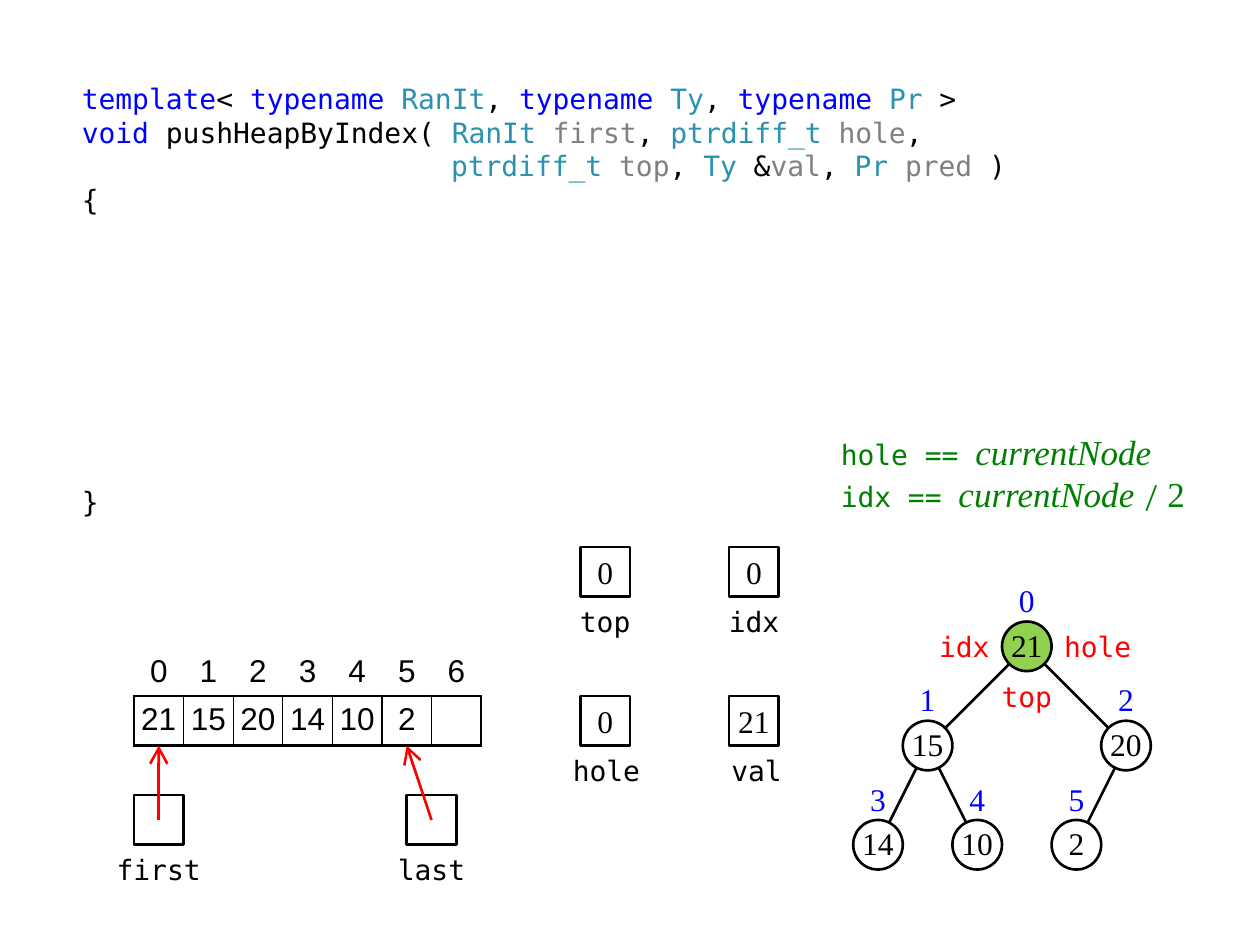
import pptx
import pptx.util
import pptx.dml.color
import pptx.enum.shapes
import pptx.enum.text
import pptx.oxml
import pptx.oxml.ns

COLORS = {
    "black": "000000", "white": "FFFFFF", "keyword": "0000FF", "type": "2B91AF",
    "param": "808080", "note": "008000", "marker": "FF0000", "active": "92D050",
}
MONO, SERIF, SANS, MATH = "DejaVu Sans Mono", "Times New Roman", "Arial", "Cambria"
ALIGN = pptx.enum.text.PP_ALIGN
ANCHOR = pptx.enum.text.MSO_ANCHOR
SHAPE = pptx.enum.shapes.MSO_SHAPE
ORIGIN_COL, ORIGIN_ROW = 0.2, 0.03

CODE = [
    [("template", "keyword"), ("< ", "black"), ("typename ", "keyword"), ("RanIt", "type"),
     (", ", "black"), ("typename ", "keyword"), ("Ty", "type"), (", ", "black"),
     ("typename ", "keyword"), ("Pr", "type"), (" >", "black")],
    [("void ", "keyword"), ("pushHeapByIndex( ", "black"), ("RanIt ", "type"),
     ("first", "param"), (", ", "black"), ("ptrdiff_t ", "type"), ("hole", "param"),
     (",", "black")],
    [("ptrdiff_t ", "type"), ("top", "param"), (", ", "black"), ("Ty", "type"),
     (" &", "black"), ("val", "param"), (", ", "black"), ("Pr ", "type"),
     ("pred", "param"), (" )", "black")],
    [("{", "black")],
    [("}", "black")],
]
NODE_COLS = [20, 18, 22, 17, 19, 21]
VALUES = ["21", "15", "20", "14", "10", "2", ""]
VARIABLES = [("top", "0", 11.5, 11, 0), ("idx", "0", 14.5, 11, 0),
             ("hole", "0", 11.5, 14, 0.02), ("val", "21", 14.5, 14, 0.04)]
POINTERS = [("first", 2.5, 3), ("last", 8, 8)]
MARKERS = [("top", 19.5, 13.5, ALIGN.CENTER), ("idx", 18, 12.5, ALIGN.RIGHT),
           ("hole", 21, 12.5, ALIGN.LEFT)]


def rgb(name):
    return pptx.dml.color.RGBColor.from_string(COLORS[name])


def place(col, row):
    return pptx.util.Cm(col + ORIGIN_COL), pptx.util.Cm(row + ORIGIN_ROW)


def extent(cols, rows):
    return pptx.util.Cm(cols), pptx.util.Cm(rows)


def add_run(p, text, size=16, font=MONO, color="black", italic=False):
    r = p.add_run()
    r.text = text
    r.font.size = pptx.util.Pt(size)
    r.font.name = font
    r.font.italic = italic
    r.font.color.rgb = rgb(color)


def set_margins(holder, inset):
    (holder.margin_left, holder.margin_top, holder.margin_right,
     holder.margin_bottom) = map(pptx.util.Inches, inset)


def set_frame(tf, anchor=ANCHOR.MIDDLE, inset=(0, 0, 0, 0), wrap=False):
    tf.word_wrap = wrap
    tf.vertical_anchor = anchor
    set_margins(tf, inset)


def add_label(s, text, col, row, cols=2, align=ALIGN.CENTER, anchor=ANCHOR.MIDDLE,
              inset=(0, 0, 0, 0), **fmt):
    tf = s.shapes.add_textbox(*place(col, row), *extent(cols, 1)).text_frame
    set_frame(tf, anchor, inset)
    p = tf.paragraphs[0]
    p.alignment = align
    add_run(p, text, **fmt)


def add_cell(s, kind, col, row, text="", fill="white", anchor=ANCHOR.MIDDLE, inset=(0, 0, 0, 0)):
    sp = s.shapes.add_shape(kind, *place(col, row), *extent(1, 1))
    sp.shadow.inherit = False
    sp.fill.solid()
    sp.fill.fore_color.rgb = rgb(fill)
    sp.line.color.rgb = rgb("black")
    sp.line.width = pptx.util.Pt(1.5)
    if text:
        set_frame(sp.text_frame, anchor, inset, wrap=True)
        p = sp.text_frame.paragraphs[0]
        p.alignment = ALIGN.CENTER
        add_run(p, text, size=18, font=SERIF)


def add_line(s, start, end, color="black", arrow=False):
    kind = pptx.enum.shapes.MSO_CONNECTOR.STRAIGHT
    cn = s.shapes.add_connector(kind, *place(*start), *place(*end))
    cn.line.color.rgb = rgb(color)
    cn.line.width = pptx.util.Pt(1.5)
    ns = pptx.oxml.ns.nsdecls("a")
    if arrow:
        tail = pptx.oxml.parse_xml(f'<a:tailEnd {ns} type="arrow" w="lg" len="lg"/>')
        cn.line._get_or_add_ln().append(tail)
    cn._element.spPr.append(pptx.oxml.parse_xml(f'<a:effectLst {ns}/>'))


def add_code(s):
    box = map(pptx.util.Inches, (0.47, 0.6, 8.66, 3.54))
    tf = s.shapes.add_textbox(*box).text_frame
    set_frame(tf, ANCHOR.TOP, (0.18, 0.05, 0.1, 0.05), wrap=True)
    for i, line in enumerate(CODE):
        p = tf.add_paragraph() if i else tf.paragraphs[0]
        p.line_spacing = pptx.util.Pt(19.2)
        for text, color in line:
            add_run(p, text, color=color)
    tf.paragraphs[2]._p.get_or_add_pPr().set("marL", str(pptx.util.Inches(2.93)))
    tf.paragraphs[-1].space_before = pptx.util.Pt(8 * 19.2)


def add_notes(s):
    tf = s.shapes.add_textbox(*place(16.5, 8.52), *extent(7.5, 2)).text_frame
    set_frame(tf, ANCHOR.TOP, (0.1, 0.05, 0.1, 0.05))
    math = {"size": 20, "font": SERIF}
    lines = [
        [("hole == ", {}), ("currentNode", {**math, "italic": True})],
        [("idx == ", {}), ("currentNode ", {**math, "italic": True}),
         ("/", {"size": 18, "font": MATH}), (" 2", math)],
    ]
    for i, line in enumerate(lines):
        p = tf.add_paragraph() if i else tf.paragraphs[0]
        p.line_spacing = pptx.util.Pt(24)
        for text, fmt in line:
            add_run(p, text, color="note", **fmt)


def set_border(cell, side, width):
    cell._tc.get_or_add_tcPr().append(pptx.oxml.parse_xml(
        f'<a:ln{side} {pptx.oxml.ns.nsdecls("a")} w="{pptx.util.Pt(width)}">'
        f'<a:solidFill><a:srgbClr val="{COLORS["black"]}"/></a:solidFill></a:ln{side}>'))


def add_array(s):
    n = len(VALUES)
    table = s.shapes.add_table(2, n, *place(2.5, 13), *extent(n, 2)).table
    table.first_row = table.horz_banding = False
    for row in table.rows:
        row.height = pptx.util.Cm(1)
    for i, value in enumerate(VALUES):
        table.columns[i].width = pptx.util.Cm(1)
        for row, text in enumerate((str(i), value)):
            cell = table.cell(row, i)
            set_margins(cell, (0, 0, 0, 0.02 * row))
            cell.vertical_anchor = ANCHOR.MIDDLE
            if row:
                set_border(cell, "L", 0.75 if i else 1.5)
                set_border(cell, "R", 0.75 if i < n - 1 else 1.5)
                set_border(cell, "T", 1.5)
            set_border(cell, "B", 1.5)
            cell.fill.background()
            if text:
                p = cell.text_frame.paragraphs[0]
                p.alignment = ALIGN.CENTER
                add_run(p, text, size=18, font=SANS)


def add_pointers(s):
    for name, col, target in POINTERS:
        add_label(s, name, col - 0.5, 17)
        add_cell(s, SHAPE.RECTANGLE, col, 16)
        add_line(s, (col + 0.5, 16.5), (target, 15), color="marker", arrow=True)


def add_variables(s):
    for name, value, col, row, shift in VARIABLES:
        add_label(s, name, col - 0.5, row + 1, inset=(shift, 0, 0, 0))
        add_cell(s, SHAPE.RECTANGLE, col, row, value, inset=(0, 0.05, 0, 0.05))


def add_tree(s):
    spots = [(col, 12.5 + 2 * ((i + 1).bit_length() - 1)) for i, col in enumerate(NODE_COLS)]
    for i, (col, row) in enumerate(spots[1:], 1):
        parent_col, parent_row = spots[(i - 1) // 2]
        add_line(s, (parent_col + 0.5, parent_row + 0.5), (col + 0.5, row + 0.5))
    for i, (col, row) in enumerate(spots):
        fill = "white" if i else "active"
        add_cell(s, SHAPE.OVAL, col, row, VALUES[i], fill, ANCHOR.BOTTOM)
        add_label(s, str(i), col, row - 1, cols=1, anchor=ANCHOR.BOTTOM,
                  inset=(0, 0, 0, 0.02), size=18, font=SERIF, color="keyword")
    for name, col, row, align in MARKERS:
        add_label(s, name, col, row, align=align, inset=(0.1, 0, 0.1, 0), color="marker")


def main():
    prs = pptx.Presentation()
    prs.slide_width, prs.slide_height = pptx.util.Inches(10), pptx.util.Inches(7.5)
    s = prs.slides.add_slide(prs.slide_layouts[6])
    for add_part in (add_code, add_array, add_pointers, add_variables, add_tree, add_notes):
        add_part(s)
    prs.save("out.pptx")


if __name__ == "__main__":
    main()
